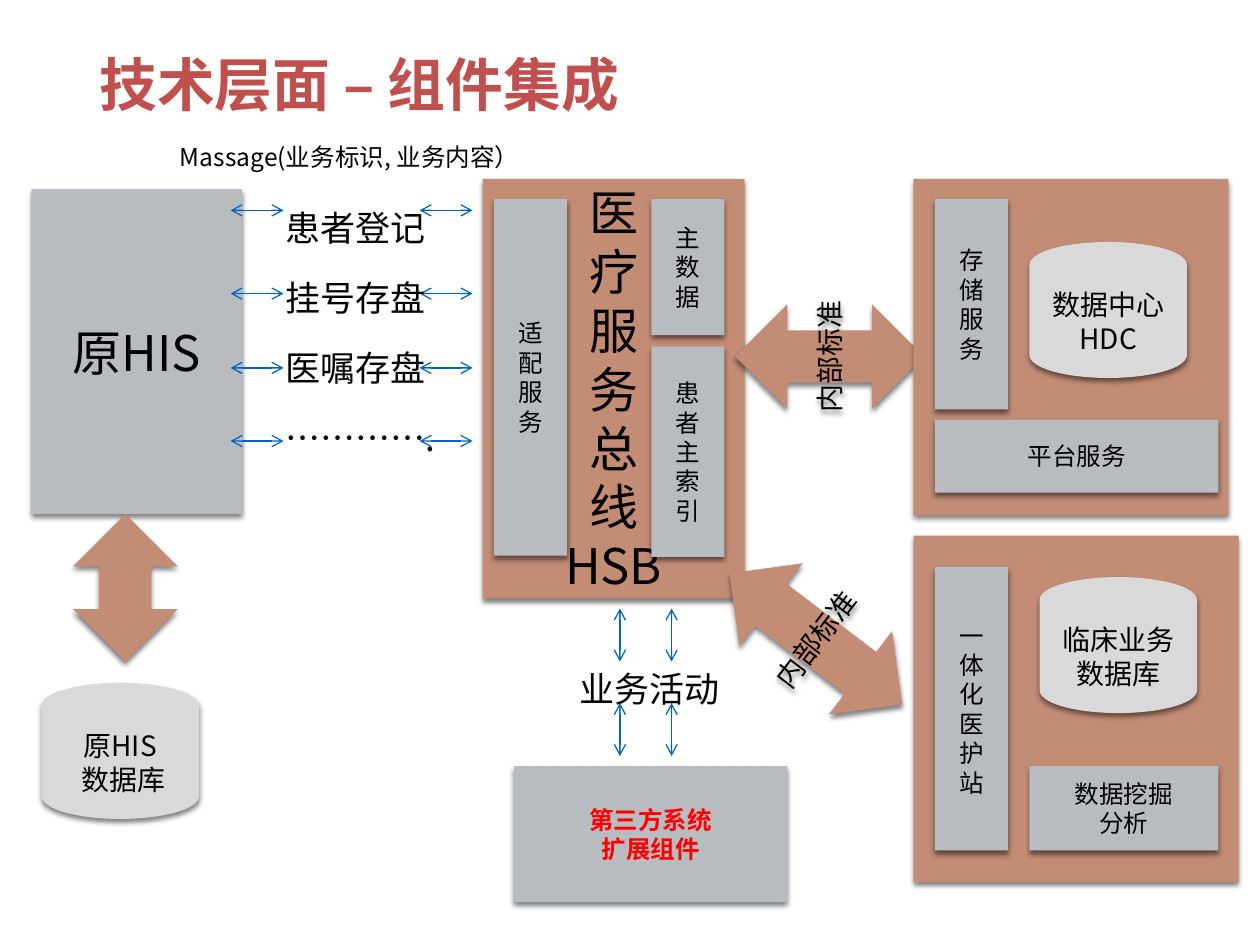
"""Build the slide on component integration around a medical service bus."""
from lxml.etree import SubElement
from pptx import Presentation
from pptx.dml.color import RGBColor
from pptx.enum.shapes import MSO_CONNECTOR, MSO_SHAPE
from pptx.enum.text import MSO_ANCHOR, PP_ALIGN
from pptx.oxml.ns import qn
from pptx.util import Inches, Pt


def colour(value):
    return RGBColor.from_string(value)


def stacked(word):
    return "\n".join(word)


def apply(target, values):
    for key, value in values.items():
        setattr(target, key, value)


class Diagram:
    FONT = "Noto Sans CJK SC"
    GREY, CLAY, SILVER = "B8BCC1", "C38C75", "D9D9D9"
    BLACK, RED, TITLE, BLUE = "000000", "FF0000", "C0504D", "0063BF"
    CENTRED = {"alignment": PP_ALIGN.CENTER}

    def __init__(self, slide):
        self.slide = slide

    def set_lines(self, frame, text, size, ink, bold, layout, gap=0):
        for index, line in enumerate(text.split("\n")):
            paragraph = frame.add_paragraph() if index else frame.paragraphs[0]
            apply(paragraph, layout)
            paragraph.space_before = Pt(gap if index else 0)
            run = paragraph.add_run()
            run.text = line
            apply(run.font, {"name": self.FONT, "size": Pt(size), "bold": bold})
            run.font.color.rgb = colour(ink)
            SubElement(run.font._element, qn("a:ea"), typeface=self.FONT)

    def block(self, box, fill, text="", size=14, kind=MSO_SHAPE.RECTANGLE,
              ink=BLACK, bold=False, rotation=0):
        shape = self.slide.shapes.add_shape(kind, *map(Inches, box))
        shape.rotation = rotation
        shape.fill.solid()
        shape.fill.fore_color.rgb = colour(fill)
        shape.line.fill.background()
        self.cast_shadow(shape)
        frame = shape.text_frame
        apply(frame, {"word_wrap": False, "vertical_anchor": MSO_ANCHOR.MIDDLE})
        if text:
            self.set_lines(frame, text, size, ink, bold, self.CENTRED)

    def cast_shadow(self, shape):
        shape.shadow.inherit = False
        effects = shape._element.spPr.find(qn("a:effectLst"))
        shadow = SubElement(effects, qn("a:outerShdw"), blurRad=str(Pt(3)),
                            dist=str(Pt(2)), dir="5400000", rotWithShape="0")
        ink = SubElement(shadow, qn("a:srgbClr"), val=self.BLACK)
        SubElement(ink, qn("a:alpha"), val="50000")

    def database(self, left, top, text):
        self.block((left, top, 1.25, 1.08), self.SILVER, text, 16,
                   MSO_SHAPE.FLOWCHART_MAGNETIC_DISK)

    def exchange(self, box, text="", rotation=0):
        self.block(box, self.CLAY, text, 16, MSO_SHAPE.UP_DOWN_ARROW, rotation=rotation)

    def link(self, *ends):
        connector = self.slide.shapes.add_connector(
            MSO_CONNECTOR.STRAIGHT, *map(Inches, ends))
        connector.line.width = Pt(0.75)
        connector.line.color.rgb = colour(self.BLUE)
        outline = connector.line._get_or_add_ln()
        for end in ("a:headEnd", "a:tailEnd"):
            SubElement(outline, qn(end), type="arrow")
        SubElement(connector._element.spPr, qn("a:effectLst"))

    def label(self, box, text, size, ink=BLACK, bold=False, spacing=1.5,
              anchor=MSO_ANCHOR.TOP):
        frame = self.slide.shapes.add_textbox(*map(Inches, box)).text_frame
        apply(frame, {"word_wrap": True, "vertical_anchor": anchor})
        self.set_lines(frame, text, size, ink, bold, {"line_spacing": spacing}, size * 0.2)


def main():
    deck = Presentation()
    apply(deck, {"slide_width": Inches(10), "slide_height": Inches(7.5)})
    diagram = Diagram(deck.slides.add_slide(deck.slide_layouts[6]))
    grey, clay = diagram.GREY, diagram.CLAY

    diagram.label((0.69, 0.25, 8.62, 0.9), "技术层面 – 组件集成", 33, diagram.TITLE,
                  True, 0.9, MSO_ANCHOR.MIDDLE)

    diagram.block((0.25, 1.5, 1.67, 2.58), grey, "原HIS", 28)
    diagram.database(0.33, 5.42, "原HIS\n 数据库")
    diagram.exchange((0.58, 4.08, 0.83, 1.17))

    diagram.block((3.83, 1.42, 2.08, 3.33), clay, stacked("医疗服务总线") + "\nHSB", 28)
    for left, top, height, service in (
            (3.92, 1.58, 2.83, "适配服务"),
            (5.17, 1.58, 1.08, "主数据"),
            (5.17, 2.75, 1.67, "患者主索引")):
        diagram.block((left, top, 0.58, height), grey, stacked(service))

    for y in (1.67, 2.33, 2.92, 3.5):
        for right in (2.25, 3.75):
            diagram.link(right, y, right - 0.42, y)
    diagram.label((2.17, 1.42, 5.5, 2.32), "患者登记\n挂号存盘\n医嘱存盘\n………….", 20)

    diagram.exchange((6.17, 2.08, 0.83, 1.5), "内部标准", 270)
    diagram.block((7.25, 1.42, 2.5, 2.67), clay)
    diagram.database(8.17, 1.92, "数据中心\nHDC")
    diagram.block((7.42, 1.58, 0.58, 1.67), grey, stacked("存储服务"))
    diagram.block((7.42, 3.33, 2.25, 0.58), grey, "平台服务")

    diagram.block((7.25, 4.25, 2.58, 2.75), clay)
    diagram.database(8.25, 4.58, "临床业务\n数据库")
    diagram.block((7.42, 4.5, 0.58, 2.25), grey, stacked("一体化医护站"))
    diagram.block((8.17, 6.08, 1.5, 0.67), grey, "数据挖掘\n分析")

    diagram.block((4.08, 6.08, 2.17, 1.08), grey, "第三方系统\n扩展组件",
                  ink=diagram.RED, bold=True)
    diagram.exchange((6.06, 4.21, 0.83, 1.72), "内部标准", 307.2)
    for x in (4.92, 5.33):
        for start, end in ((4.83, 5.25), (6, 5.58)):
            diagram.link(x, start, x, end)
    diagram.label((4.5, 5.08, 1.83, 1.11), "业务活动", 20)
    diagram.label((1.33, 0.96, 3.25, 0.48), "Massage(业务标识, 业务内容）", 14)

    deck.save("out.pptx")


if __name__ == "__main__":
    main()
